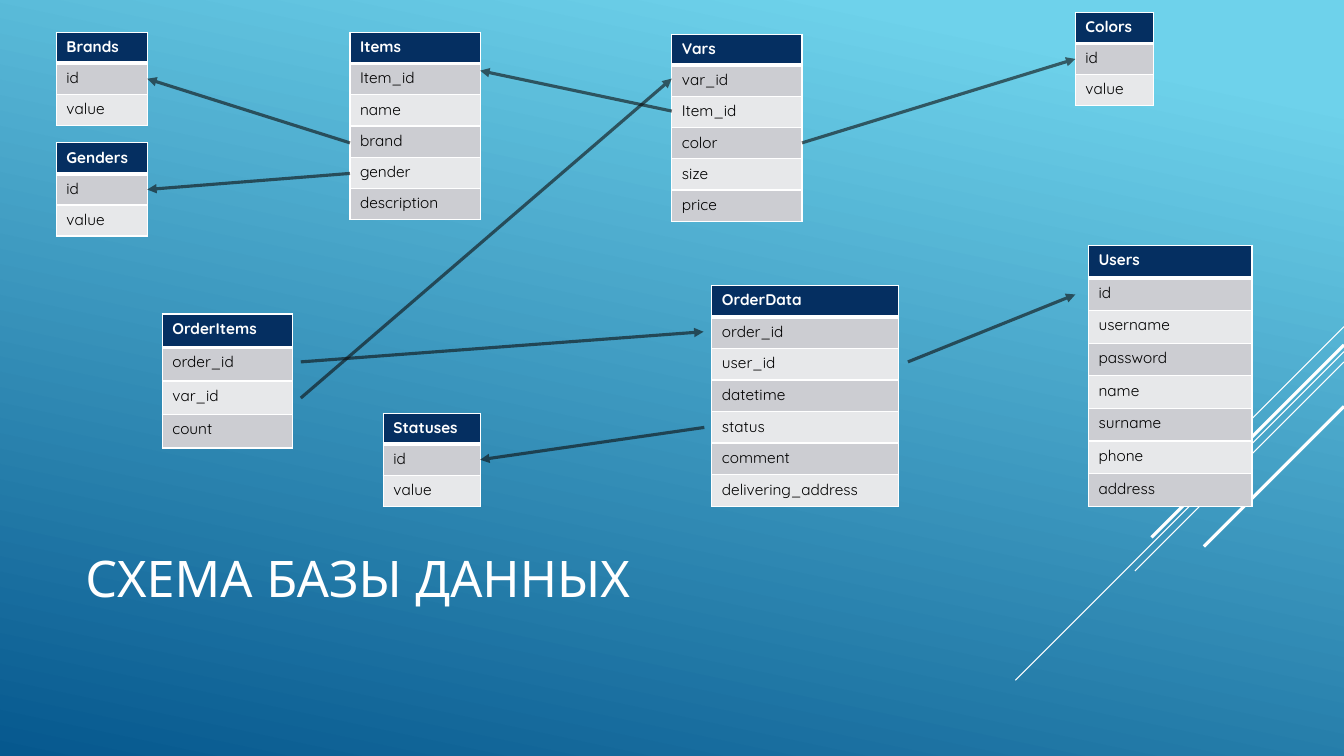
from pptx import Presentation
from pptx.dml.color import RGBColor
from pptx.enum.shapes import MSO_CONNECTOR as CONN
from pptx.enum.text import MSO_ANCHOR
from pptx.oxml.ns import qn
from pptx.util import Cm, Pt
from lxml.etree import SubElement

FONT = "Quicksand"
COLORS = {
    "sky": "6ED2EB",
    "deep": "06588E",
    "white": "FFFFFF",
    "header": "052F61",
    "odd": "CCCDD2",
    "even": "E7E8EA",
    "text": "000000",
    "arrow": "0D0D0D",
}

# name: (left, top, width, height, fields), lengths in cm
TABLES = {
    "Brands": (1.42, 0.81, 2.29, 2.35, "id value"),
    "Colors": (27.1, 0.31, 1.96, 2.35, "id value"),
    "Genders": (1.42, 3.6, 2.29, 2.35, "id value"),
    "Statuses": (9.66, 10.41, 2.44, 2.35, "id value"),
    "Items": (8.82, 0.81, 3.28, 4.73, "Item_id name brand gender description"),
    "Vars": (16.93, 0.86, 3.28, 4.72, "var_id Item_id color size price"),
    "Users": (27.43, 6.18, 4.12, 6.58,
              "id username password name surname phone address"),
    "OrderItems": (4.09, 7.91, 3.28, 3.38, "order_id var_id count"),
    "OrderData": (17.94, 7.19, 4.7, 5.57,
                  "order_id user_id datetime status comment delivering_address"),
}

# start, end, and the table and side the end is joined to
ARROWS = [
    ((8.82, 3.6), (3.71, 1.98), ("Brands", 3)),
    ((8.82, 4.37), (3.71, 4.77), ("Genders", 3)),
    ((16.93, 2.8), (12.1, 1.78), None),
    ((20.21, 3.6), (27.1, 1.47), ("Colors", 1)),
    ((7.58, 10.03), (16.93, 1.98), None),
    ((17.75, 10.77), (12.1, 11.58), ("Statuses", 3)),
    ((22.88, 9.12), (27.1, 7.42), None),
    ((7.58, 9.12), (17.73, 8.36), None),
]

# right-edge height, length along each axis, width in points
STRIPES = [
    (8.23, 2.54, 0.75),
    (8.86, 8.28, 0.75),
    (9.12, 5.27, 0.75),
    (8.69, 4.85, 2.25),
    (10.24, 3.53, 2.25),
]
SLIDE_W, SLIDE_H = 33.87, 19.05


def rgb(name):
    return RGBColor.from_string(COLORS[name])


def style_text(tf, size, color, bold=False):
    for p in tf.paragraphs:
        for r in p.runs:
            r.font.name = FONT
            r.font.size = Pt(size)
            r.font.bold = bold
            r.font.color.rgb = rgb(color)


def paint_background(s):
    fill = s.background.fill
    fill.gradient()
    fill.gradient_angle = 258
    for stop, position, color in zip(fill.gradient_stops, (0.1, 1), ("sky", "deep")):
        stop.position = position
        stop.color.rgb = rgb(color)


def add_line(s, start, end, color, width):
    line = s.shapes.add_connector(CONN.STRAIGHT, *map(Cm, start + end))
    line.line.color.rgb = rgb(color)
    line.line.width = Pt(width)
    SubElement(line._element.spPr, qn("a:effectLst"))
    return line


def add_arrow(s, start, end):
    """Draw a translucent line with an arrowhead at its end."""
    arrow = add_line(s, start, end, "arrow", 2.25)
    ln = arrow.line._get_or_add_ln()
    SubElement(ln.find(".//" + qn("a:srgbClr")), qn("a:alpha"), val="60000")
    SubElement(ln, qn("a:tailEnd"), type="triangle")
    return arrow


def set_borders(cell, top, bottom):
    tc_pr = cell._tc.get_or_add_tcPr()
    for side, width in (("L", 1), ("R", 1), ("T", top), ("B", bottom)):
        ln = SubElement(tc_pr, qn("a:ln" + side), w=str(Pt(width)))
        fill = SubElement(ln, qn("a:solidFill"))
        SubElement(fill, qn("a:srgbClr"), val=COLORS["white"])


def add_entity(s, name, left, top, width, height, fields):
    """Add a database table: its name in the header, a field in each row."""
    texts = [name] + fields.split()
    frame = s.shapes.add_table(len(texts), 1, Cm(left), Cm(top), Cm(width), Cm(height))
    table = frame.table
    table.first_row = table.horz_banding = False
    for i, text in enumerate(texts):
        cell = table.cell(i, 0)
        header = i == 0
        set_borders(cell, 3 if i == 1 else 1, 3 if header else 1)
        cell.fill.solid()
        cell.fill.fore_color.rgb = rgb("header" if header else "odd" if i % 2 else "even")
        cell.text_frame.text = text
        style_text(cell.text_frame, 11, "white" if header else "text", header)
    return frame


def add_title(s, text):
    tf = s.shapes.add_textbox(Cm(1.9), Cm(12.45), Cm(23.7), Cm(4.19)).text_frame
    tf.word_wrap = True
    tf.vertical_anchor = MSO_ANCHOR.MIDDLE
    tf.text = text
    style_text(tf, 36, "white")


def main():
    prs = Presentation()
    prs.slide_width, prs.slide_height = Cm(SLIDE_W), Cm(SLIDE_H)
    s = prs.slides.add_slide(prs.slide_layouts[6])
    paint_background(s)
    for y, reach, width in STRIPES:
        add_line(s, (SLIDE_W, y), (SLIDE_W - reach, y + reach), "white", width)
    add_title(s, "СХЕМА БАЗЫ ДАННЫХ")
    entities = {name: add_entity(s, name, *box) for name, box in TABLES.items()}
    for start, end, joint in ARROWS:
        arrow = add_arrow(s, start, end)
        if joint:
            name, side = joint
            arrow.end_connect(entities[name], side)
    prs.save("out.pptx")


if __name__ == "__main__":
    main()
